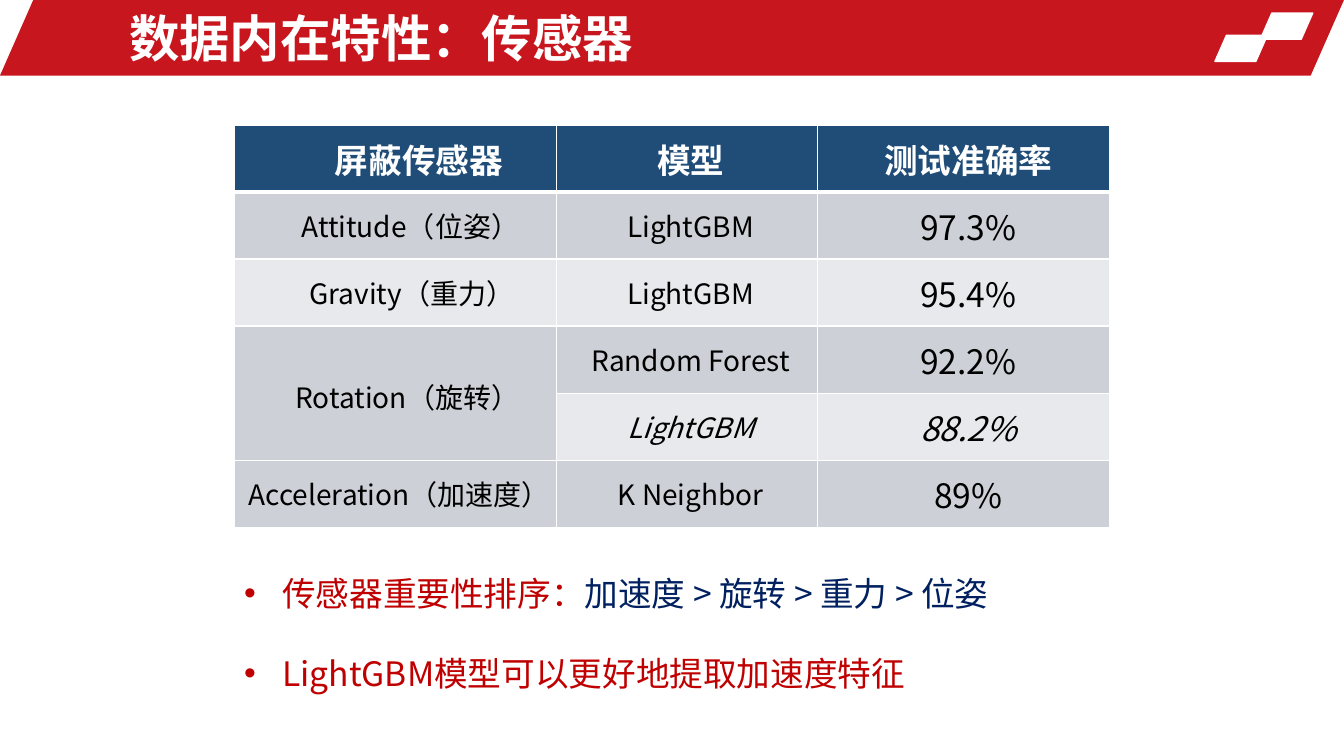
from lxml.etree import SubElement
from pptx import Presentation
from pptx.dml.color import RGBColor
from pptx.enum.shapes import MSO_SHAPE
from pptx.enum.text import MSO_ANCHOR, MSO_AUTO_SIZE, PP_ALIGN
from pptx.oxml import parse_xml
from pptx.oxml.ns import nsdecls, qn
from pptx.util import Inches, Pt

FACE = "Noto Sans CJK SC"
WHITE = RGBColor(0xFF, 0xFF, 0xFF)
BLACK = RGBColor(0, 0, 0)
RED = RGBColor(0xC8, 0x16, 0x1E)
CRIMSON = RGBColor(0xC0, 0, 0)
NAVY = RGBColor(0, 0x20, 0x60)
BLUE = RGBColor(0x1F, 0x4D, 0x78)
GREY = RGBColor(0xCD, 0xD0, 0xD6)
PALE = RGBColor(0xE8, 0xE9, 0xEC)

HEADS = ("屏蔽传感器", "模型", "测试准确率")
ROWS = (
    HEADS,
    ("Attitude（位姿）", "LightGBM", "97.3%"),
    ("Gravity（重力）", "LightGBM", "95.4%"),
    ("Rotation（旋转）", "Random Forest", "92.2%"),
    ("", "LightGBM", "88.2%"),
    ("Acceleration（加速度）", "K Neighbor", "89%"),
)
INDENTS = (0.47, 0.3, 0.33, 0.24, 0, 0.08)
POINTS = (
    (("传感器重要性排序：", CRIMSON), ("加速度 > 旋转 > 重力 > 位姿", NAVY)),
    (("LightGBM模型可以更好地提取加速度特征", CRIMSON),),
)


def style(para, size, color, bold=False, italic=False):
    """Set the font of a whole paragraph, for Latin and Chinese text."""
    font = para.font
    font.name, font.size = FACE, Pt(size)
    font.bold, font.italic = bold, italic
    font.color.rgb = color
    props = para._p.get_or_add_pPr().find(qn("a:defRPr"))
    SubElement(props, qn("a:ea"), typeface=FACE)


def indent(para, left, first=0):
    """Set the left margin and first-line indent in inches."""
    props = para._p.get_or_add_pPr()
    props.set("marL", str(Inches(left)))
    props.set("indent", str(Inches(first)))
    return props


def slant(slide, x, y, w, h, fill):
    """Draw a slanted block and return it."""
    shape = slide.shapes.add_shape(
        MSO_SHAPE.PARALLELOGRAM, Inches(x), Inches(y), Inches(w), Inches(h))
    shape.adjustments[0] = 0.44
    shape.shadow.inherit = False
    shape.fill.solid()
    shape.fill.fore_color.rgb = fill
    shape.line.fill.background()
    return shape


def place(shape, x, y, w, h):
    """Move a shape to a box given in inches."""
    shape.left, shape.top = Inches(x), Inches(y)
    shape.width, shape.height = Inches(w), Inches(h)


def banner(slide, x, y, w, h):
    """Build the red title bar with its two white blocks."""
    slant(slide, x, y, w, h, RED)
    for dx, dy in ((0.83, 0.13), (1.28, 0.35)):
        block = slant(slide, x + w - dx, y + dy, 0.52, 0.26, WHITE)
        block.line.color.rgb = WHITE
        block.line.width = Pt(1)
    title = slide.shapes.title
    title.element.getparent().append(title.element)
    place(title, x + 1.18, y + 0.05, 7.74, h - 0.1)
    frame = title.text_frame
    frame.text = "数据内在特性：传感器"
    frame.auto_size = MSO_AUTO_SIZE.NONE
    frame.vertical_anchor = MSO_ANCHOR.MIDDLE
    para = frame.paragraphs[0]
    para.alignment = PP_ALIGN.LEFT
    style(para, 36, WHITE, bold=True)


def edge(cell, row):
    """Give a cell white borders, thick under the header."""
    props = cell._tc.get_or_add_tcPr()
    thick = {0: "B", 1: "T"}.get(row)
    for spot, side in enumerate("LRTB"):
        width = Pt(3 if side == thick else 1)
        props.insert(spot, parse_xml(
            f'<a:ln{side} {nsdecls("a")} w="{width}"><a:solidFill>'
            f'<a:srgbClr val="{WHITE}"/></a:solidFill></a:ln{side}>'))


def scores(slide, x, y, w, h):
    """Build the table of sensors, models and accuracy."""
    table = slide.shapes.add_table(
        len(ROWS), len(HEADS), Inches(x), Inches(y), Inches(w), Inches(h)).table
    for col, width in zip(table.columns, (3.2, 2.59, w - 5.79)):
        col.width = Inches(width)
    for r, texts in enumerate(ROWS):
        table.rows[r].height = Inches(h / len(ROWS))
        for c, text in enumerate(texts):
            cell = table.cell(r, c)
            cell.margin_left = cell.margin_right = 0
            cell.margin_top = cell.margin_bottom = 0
            cell.vertical_anchor = MSO_ANCHOR.MIDDLE
            cell.fill.solid()
            pale = r in (2, 4) and (r, c) != (4, 0)
            cell.fill.fore_color.rgb = BLUE if r == 0 else PALE if pale else GREY
            edge(cell, r)
            if not text:
                continue
            cell.text = text
            para = cell.text_frame.paragraphs[0]
            para.alignment = PP_ALIGN.CENTER
            indent(para, (INDENTS[r], 0.07, 0.09)[c])
            style(para, 24 if r == 0 or c == 2 else 20,
                  WHITE if r == 0 else BLACK, bold=r == 0, italic=r == 4)
    turn = table.cell(3, 0)
    turn.merge(table.cell(4, 0))
    turn.margin_top = Inches(0.06)


def notes(slide, x, y, w, h):
    """Fill the body with the two bulleted findings."""
    body = slide.placeholders[1]
    place(body, x, y, w, h)
    frame = body.text_frame
    frame.word_wrap = True
    frame.auto_size = MSO_AUTO_SIZE.SHAPE_TO_FIT_TEXT
    for n, parts in enumerate(POINTS):
        para = frame.add_paragraph() if n else frame.paragraphs[0]
        para.line_spacing = 2.0
        para.space_before = Pt(0)
        SubElement(indent(para, 0.38, -0.38), qn("a:buChar"), char="•")
        style(para, 24, CRIMSON)
        for text, color in parts:
            run = para.add_run()
            run.text = text
            run.font.color.rgb = color


def main():
    """Build the slide and save it."""
    deck = Presentation()
    deck.slide_width, deck.slide_height = Inches(13.33), Inches(7.5)
    slide = deck.slides.add_slide(deck.slide_layouts[1])
    banner(slide, 0, 0, 13.33, 0.75)
    scores(slide, 2.32, 1.24, 8.69, 3.99)
    notes(slide, 2.32, 5.23, 8.35, 2.41)
    deck.save("out.pptx")


if __name__ == "__main__":
    main()
